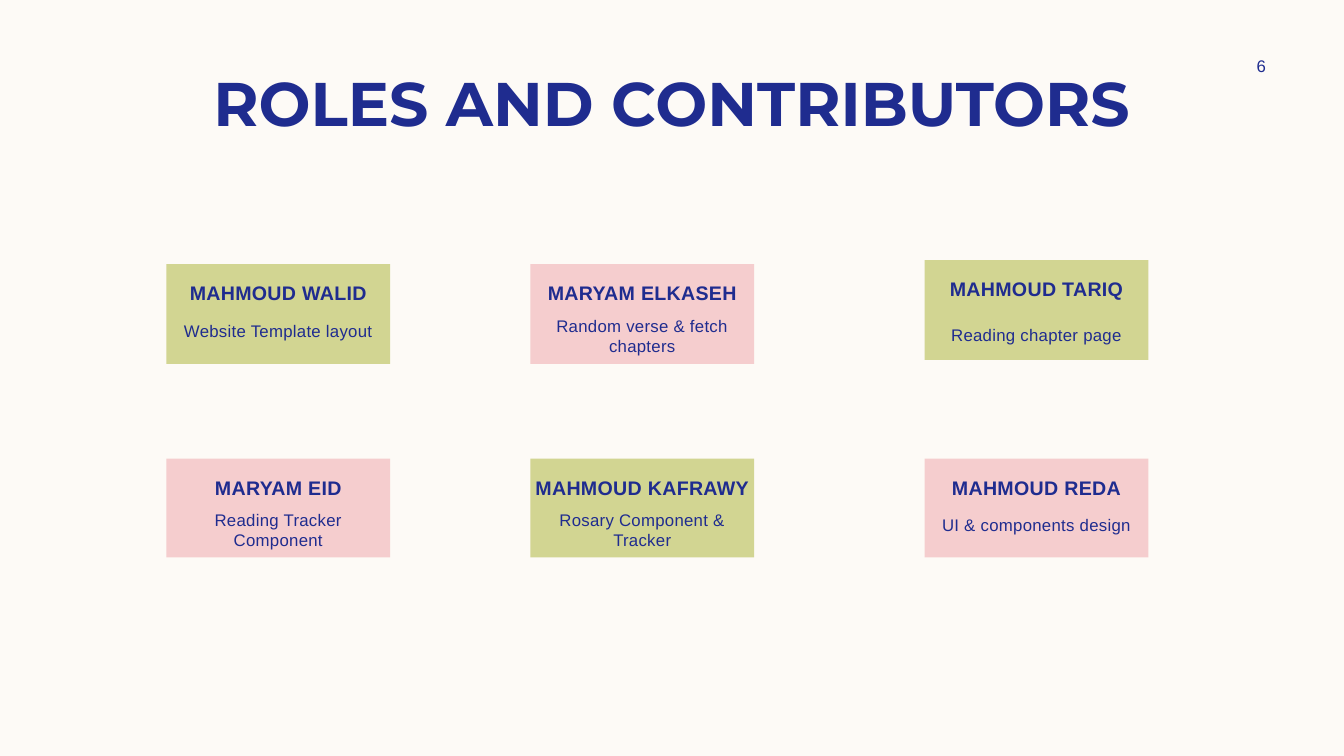
import pptx
import pptx.util
import pptx.dml.color
import pptx.enum.shapes
import pptx.enum.text

Inches = pptx.util.Inches
Pt = pptx.util.Pt
RGBColor = pptx.dml.color.RGBColor
Anchor = pptx.enum.text.MSO_ANCHOR

CREAM = RGBColor(0xFD, 0xFA, 0xF6)
NAVY = RGBColor(0x1F, 0x2C, 0x8F)
GREEN = RGBColor(0xD2, 0xD5, 0x92)
PINK = RGBColor(0xF5, 0xCD, 0xCE)

TITLE = "ROLES AND CONTRIBUTORS"
PAGE_NUMBER = "6"
CONTRIBUTORS = [
    [
        ("MAHMOUD WALID", "Website Template layout", 2.62, 3.18, 0.2),
        ("MARYAM ELKASEH", "Random verse & fetch chapters", 2.62, 3.16, 0.34),
        ("MAHMOUD TARIQ", "Reading chapter page", 2.58, 3.12, 0.4),
    ],
    [
        ("MARYAM EID", "Reading Tracker Component", 4.55, 5.11, 0.3),
        ("MAHMOUD KAFRAWY", "Rosary Component & Tracker", 4.55, 5.11, 0.3),
        ("MAHMOUD REDA", "UI & components design", 4.55, 5.11, 0.2),
    ],
]
COLUMN_LEFTS = [1.65, 5.26, 9.17]
CARD_WIDTH = 2.22
CARD_HEIGHTS = [0.99, 0.98]


def write(box, text, size=12, font="Arial", bold=False, anchor=Anchor.MIDDLE,
          side=0.1, top=0, bottom=0, before=0, spacing=0):
    frame = box.text_frame
    frame.word_wrap = True
    frame.auto_size = pptx.enum.text.MSO_AUTO_SIZE.NONE
    frame.vertical_anchor = anchor
    frame.margin_left = frame.margin_right = Inches(side)
    frame.margin_top, frame.margin_bottom = Inches(top), Inches(bottom)
    para = frame.paragraphs[0]
    para.alignment = pptx.enum.text.PP_ALIGN.CENTER
    para.space_before = Pt(before)
    span = para.add_run()
    span.text = text
    span.font.name = font
    span.font.size = Pt(size)
    span.font.bold = bold
    span.font.color.rgb = NAVY
    if spacing:
        span._r.get_or_add_rPr().set("spc", str(round(spacing * 100)))


deck = pptx.Presentation()
deck.slide_width, deck.slide_height = Inches(13.33), Inches(7.5)
page = deck.slides.add_slide(deck.slide_layouts.get_by_name("Title Only"))
page.background.fill.solid()
page.background.fill.fore_color.rgb = CREAM

title = page.shapes.title
title.left, title.top = Inches(0.83), Inches(0.59)
title.width, title.height = Inches(11.67), Inches(0.84)
write(title, TITLE, size=44, font="Montserrat", bold=True)

for row, people in enumerate(CONTRIBUTORS):
    for column, (name, role, card_top, role_top, role_height) in enumerate(people):
        left, width = Inches(COLUMN_LEFTS[column]), Inches(CARD_WIDTH)
        card = page.shapes.add_shape(
            pptx.enum.shapes.MSO_SHAPE.RECTANGLE,
            left, Inches(card_top), width, Inches(CARD_HEIGHTS[row]))
        card.shadow.inherit = False
        card.fill.solid()
        card.fill.fore_color.rgb = PINK if (row + column) % 2 else GREEN
        card.line.fill.background()
        write(card, name, size=14, bold=True, anchor=Anchor.TOP,
              side=0, top=0.17, bottom=0.05, spacing=0.2)
        role_box = page.shapes.add_textbox(
            left, Inches(role_top), width, Inches(role_height))
        write(role_box, role, before=3.6, spacing=0.2)

number_box = page.shapes.add_textbox(
    Inches(11.97), Inches(0.5), Inches(1.08), Inches(0.3))
write(number_box, PAGE_NUMBER)

deck.save("out.pptx")
